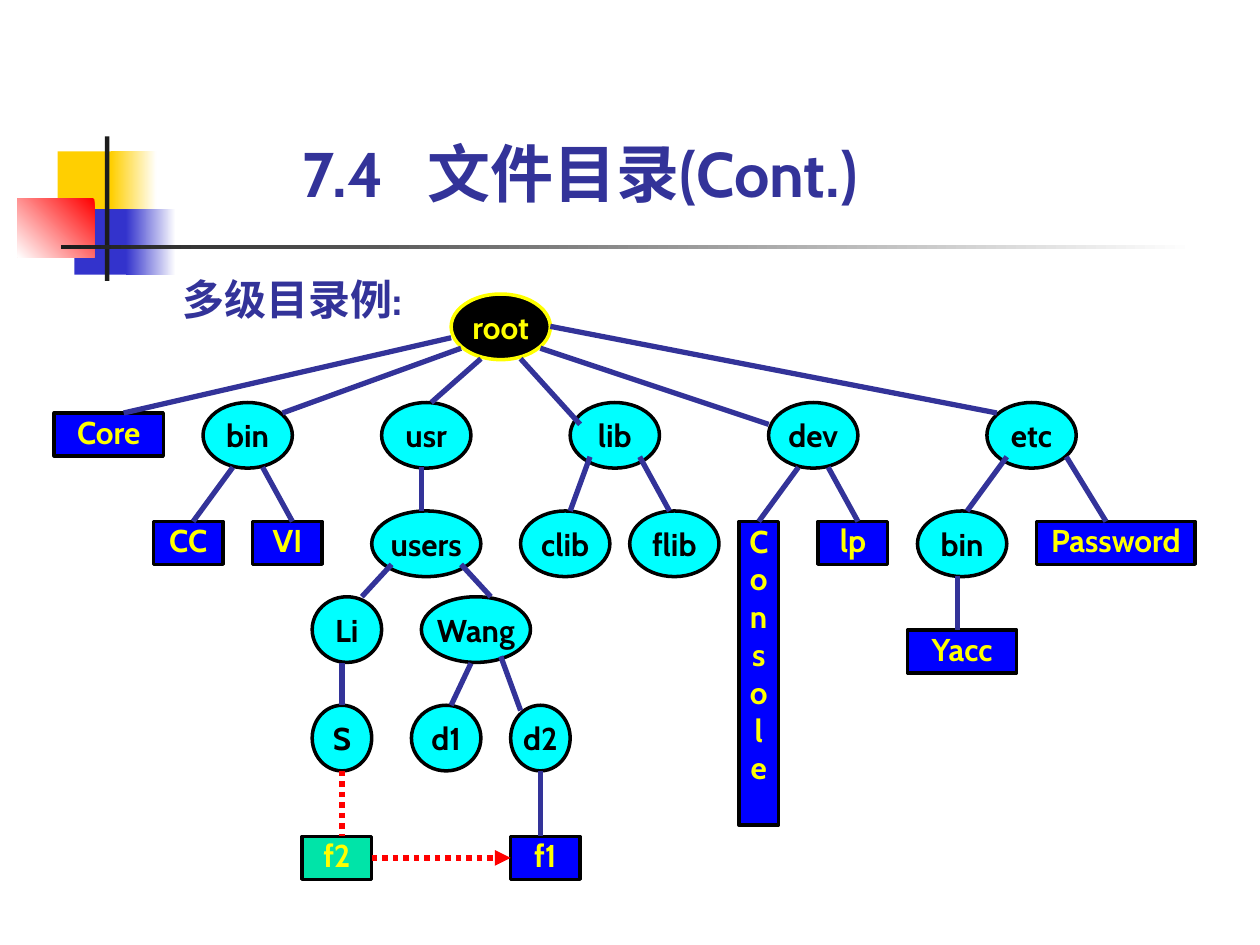
from lxml.etree import SubElement
from pptx import Presentation
from pptx.dml.color import RGBColor
from pptx.enum.dml import MSO_LINE_DASH_STYLE as Dash
from pptx.enum.shapes import MSO_CONNECTOR as Connector, MSO_SHAPE as Shape
from pptx.enum.text import MSO_ANCHOR as Anchor, MSO_AUTO_SIZE as AutoSize, PP_ALIGN as Align
from pptx.oxml.ns import qn
from pptx.util import Pt

FONT = "Cabin"
INDIGO, BLUE, CYAN, GREEN = "333399", "0000FF", "00FFFF", "00E4A8"
YELLOW, BLACK, WHITE, RED = "FFFF00", "000000", "FFFFFF", "FF0000"

TITLE = "7.4\t文件目录(Cont.)"
SUBTITLE = "多级目录例:"

# left, top, width, height, colour, end colour of the fade, angle
ORNAMENTS = [
    (33, 86.5, 34.5, 37.5, "FFCF01", None, 0),
    (63.5, 86.5, 26, 37.5, "FFCF01", WHITE, 0),
    (42.5, 119.5, 33, 37.5, "3333CC", None, 0),
    (72, 119.5, 28.5, 37.5, "3333CC", WHITE, 0),
    (10, 113.5, 44, 33.5, RED, WHITE, 225),
    (60, 78, 2.5, 82.5, "1C1C1C", None, 0),
    (35, 140, 648, 2.5, "1C1C1C", WHITE, 0),
]

# The tree stands on narrow columns; tops and line heights are in points.
GRID_LEFT, COLUMN = 31, 5.67
FOLDER_HEIGHT, FILE_HEIGHT = 37.5, 24.5

# label, column, top, columns wide
FOLDERS = [
    ("root", 40, 168, 10),
    ("bin", 15, 230, 9), ("usr", 33, 230, 9), ("lib", 52, 230, 9),
    ("dev", 72, 230, 9), ("etc", 94, 230, 9),
    ("users", 32, 292, 11), ("clib", 47, 292, 9), ("flib", 58, 292, 9),
    ("bin", 87, 292, 9),
    ("Li", 26, 341, 7), ("Wang", 37, 341, 11),
    ("S", 26, 403, 6), ("d1", 36, 403, 7), ("d2", 46, 403, 6),
]
FILES = [
    ("Core", 0, 236, 11), ("CC", 10, 298, 7), ("VI", 20, 298, 7),
    ("Console", 69, 298, 4), ("lp", 77, 298, 7), ("Password", 99, 298, 16),
    ("Yacc", 86, 360, 11), ("f2", 25, 478, 7), ("f1", 46, 478, 7),
]
CONSOLE_HEIGHT = 173.5

# from column, from height, to column, to height
BRANCHES = [
    (40, 193, 7, 236), (41, 199, 23, 236), (43, 205, 38, 230),
    (47, 205, 53, 242.5), (49, 199, 72, 242.5), (50, 186.5, 95, 236),
    (18, 267, 14, 298), (21, 267, 24, 298), (37, 267, 37, 292),
    (54, 261, 52, 292), (59, 261, 62, 292), (75, 267, 71, 298),
    (78, 267, 81, 298), (96, 261, 92, 292), (102, 261, 106, 298),
    (34, 322.5, 31, 341), (41, 322.5, 44, 341), (91, 329, 91, 360),
    (29, 379, 29, 403), (42, 379, 40, 403), (45, 375, 47, 406),
    (49, 440.5, 49, 478),
]
LINK_BRANCH = (29, 440.5, 29, 478)


def rgb(value):
    return RGBColor.from_string(value)


def column_x(column):
    return Pt(GRID_LEFT + column * COLUMN)


def style(paragraph, size, color):
    font = paragraph.font
    font.name, font.size, font.bold = FONT, Pt(size), True
    font.color.rgb = rgb(color)


def set_insets(frame, side, end):
    frame.margin_left = frame.margin_right = Pt(side)
    frame.margin_top = frame.margin_bottom = Pt(end)


def fill_placeholder(shape, text, box, size, anchor):
    shape.left, shape.top, shape.width, shape.height = map(Pt, box)
    frame = shape.text_frame
    frame.text = text
    frame.auto_size, frame.vertical_anchor = AutoSize.NONE, anchor
    set_insets(frame, 0, 0)
    paragraph = frame.paragraphs[0]
    paragraph.alignment, paragraph.space_before = Align.LEFT, Pt(0)
    return paragraph


def add_ornament(shapes, left, top, width, height, color, fade, angle):
    shape = shapes.add_shape(Shape.RECTANGLE, Pt(left), Pt(top), Pt(width), Pt(height))
    shape.shadow.inherit = False
    shape.line.fill.background()
    if fade is None:
        shape.fill.solid()
        shape.fill.fore_color.rgb = rgb(color)
        return
    shape.fill.gradient()
    shape.fill.gradient_angle = angle
    for stop, stop_color in zip(shape.fill.gradient_stops, (color, fade)):
        stop.color.rgb = rgb(stop_color)


def add_node(shapes, kind, node, height, fill, outline, text_color):
    label, column, top, width = node
    shape = shapes.add_shape(kind, column_x(column), Pt(top), Pt(width * COLUMN), Pt(height))
    shape.shadow.inherit = False
    shape.fill.solid()
    shape.fill.fore_color.rgb = rgb(fill)
    shape.line.color.rgb = rgb(outline)
    shape.line.width = Pt(2)
    frame = shape.text_frame
    frame.text = label
    frame.paragraphs[0].alignment = Align.CENTER
    style(frame.paragraphs[0], 18, text_color)
    return shape


def add_line(shapes, start_column, start_y, end_column, end_y, color=INDIGO, dash=None):
    line = shapes.add_connector(Connector.STRAIGHT, column_x(start_column), Pt(start_y),
                                column_x(end_column), Pt(end_y))
    line.line.color.rgb = rgb(color)
    line.line.width = Pt(3)
    line.line.dash_style = dash
    SubElement(line._element.spPr, qn("a:effectLst"))
    return line


def main():
    presentation = Presentation()
    presentation.slide_width, presentation.slide_height = Pt(720), Pt(540)
    slide = presentation.slides.add_slide(presentation.slide_layouts[1])
    shapes = slide.shapes

    title = fill_placeholder(shapes.title, TITLE, (173, 81.5, 369, 39), 36, Anchor.BOTTOM)
    title.line_spacing = 0.9
    tabs = SubElement(title._p.get_or_add_pPr(), qn("a:tabLst"))
    SubElement(tabs, qn("a:tab"), pos=str(Pt(71)), algn="l")
    style(title, 36, INDIGO)

    subtitle = fill_placeholder(slide.placeholders[1], SUBTITLE, (104.5, 156, 153, 29), 24,
                                Anchor.TOP)
    properties = subtitle._p.get_or_add_pPr()
    properties.set("marL", "0")
    properties.set("indent", "0")
    SubElement(properties, qn("a:buNone"))
    style(subtitle, 24, INDIGO)

    for ornament in ORNAMENTS:
        add_ornament(shapes, *ornament)

    for node in FOLDERS:
        colors = (BLACK, YELLOW, YELLOW) if node[0] == "root" else (CYAN, BLACK, BLACK)
        folder = add_node(shapes, Shape.OVAL, node, FOLDER_HEIGHT, *colors)
        folder.text_frame.word_wrap = False
        folder.text_frame.vertical_anchor = Anchor.MIDDLE

    files, top_middles = {}, {}
    for node in FILES:
        label, column, top, width = node
        is_console = label == "Console"
        height = CONSOLE_HEIGHT if is_console else FILE_HEIGHT
        fill = GREEN if label == "f2" else BLUE
        file = add_node(shapes, Shape.RECTANGLE, node, height, fill, BLACK, YELLOW)
        file.text_frame.word_wrap = True
        file.text_frame.vertical_anchor = Anchor.TOP
        set_insets(file.text_frame, 5.76 if is_console else 0, 0)
        files[label] = file
        top_middles[column + width / 2, top] = file

    for branch in BRANCHES:
        line = add_line(shapes, *branch)
        if branch[2:] in top_middles:
            line.end_connect(top_middles[branch[2:]], 0)

    add_line(shapes, *LINK_BRANCH, RED, Dash.ROUND_DOT)
    link = add_line(shapes, 32, 490, 46, 490, RED, Dash.ROUND_DOT)
    link.begin_connect(files["f2"], 3)
    link.end_connect(files["f1"], 1)
    SubElement(link.line._get_or_add_ln(), qn("a:tailEnd"), type="triangle")

    presentation.save("out.pptx")


if __name__ == "__main__":
    main()
